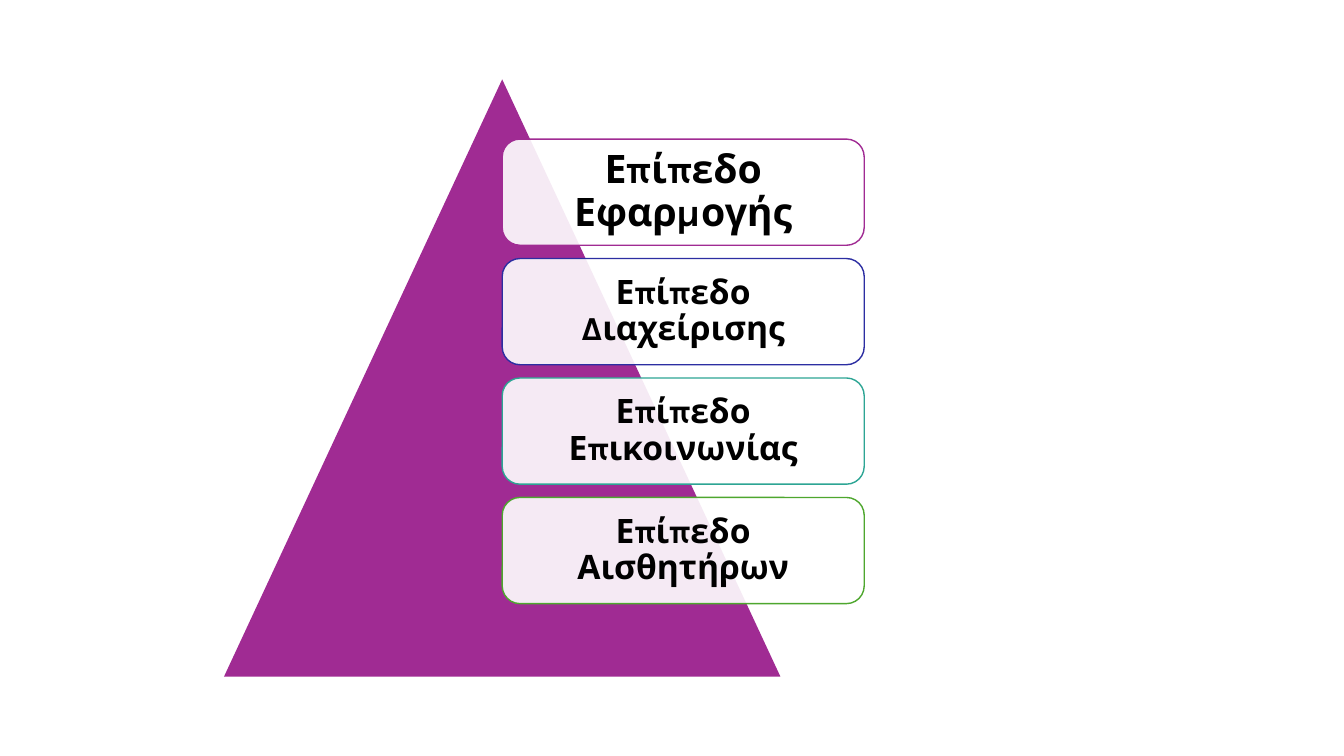
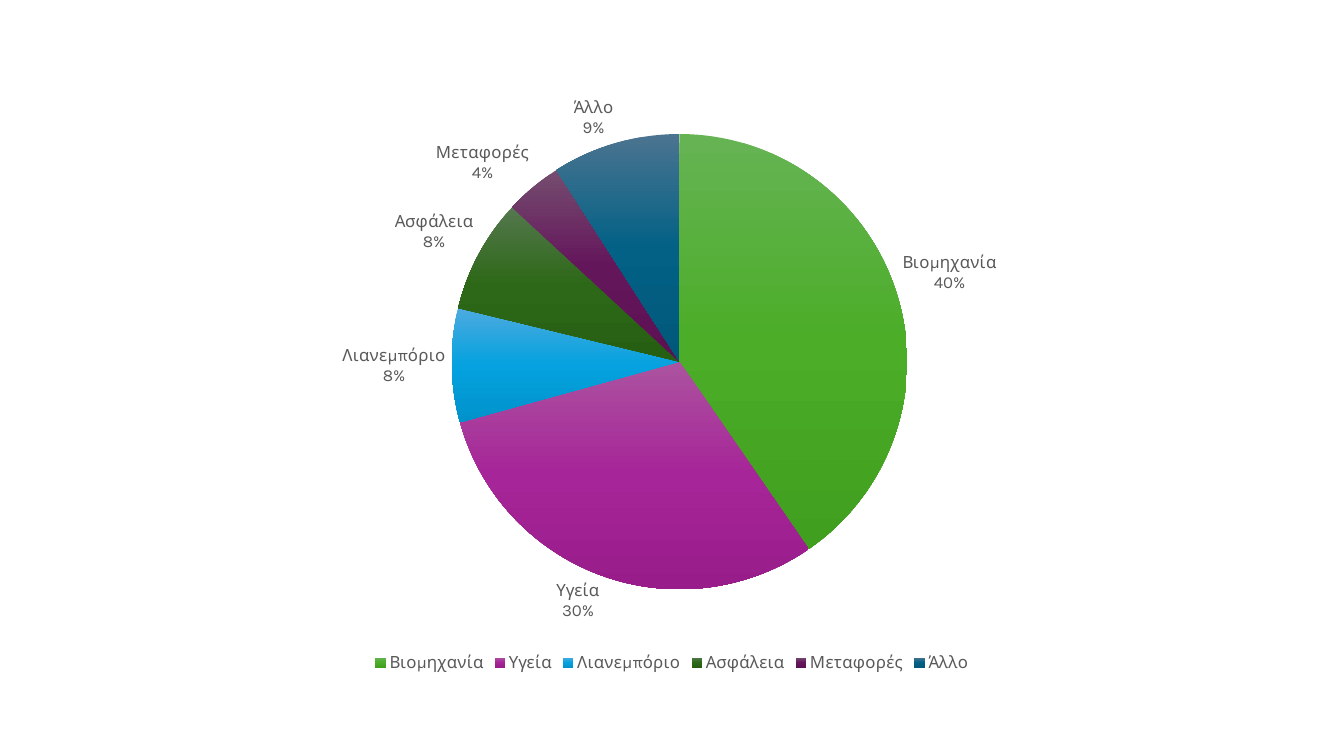
import copy
from dataclasses import dataclass

import lxml.etree
import pptx
import pptx.chart.data
import pptx.dml.color
import pptx.enum.chart
import pptx.enum.shapes
import pptx.enum.text
import pptx.oxml.ns
import pptx.util


@dataclass(frozen=True)
class Theme:
    font: str = "Karla"
    text: str = "000000"
    muted: str = "595959"
    panel: str = "FFFFFF"
    accent: str = "A02B93"
    panel_opacity: int = 90
    top_size: int = 28
    level_size: int = 24
    chart_size: int = 12
    line_width: int = 1


LEVELS = [
    ("Επίπεδο Εφαρμογής", "A02B93", Theme.top_size, 0.12),
    ("Επίπεδο Διαχείρισης", "2C2EA2", Theme.level_size, 0.1),
    ("Επίπεδο Επικοινωνίας", "2DA594", Theme.level_size, 0.1),
    ("Επίπεδο Αισθητήρων", "4EA72E", Theme.level_size, 0.1),
]

SECTORS = [
    ("Βιομηχανία", 40, ("66B354", "4BAD28", "409F1E")),
    ("Υγεία", 30, ("AC53A0", "A62598", "991C8B")),
    ("Λιανεμπόριο", 8, ("4CAADF", "05A2DF", "0092CB")),
    ("Ασφάλεια", 8, ("55784E", "2D6818", "275F12")),
    ("Μεταφορές", 4, ("754D6F", "64165B", "5C1153")),
    ("Άλλο", 9, ("4B7490", "036186", "00587A")),
]


def rgb(color):
    return pptx.dml.color.RGBColor.from_string(color)


class Deck:
    COLUMNS = 100
    ROWS = 45

    def __init__(self, theme):
        self.theme = theme
        self.presentation = pptx.Presentation()
        self.presentation.slide_width = pptx.util.Inches(13.33)
        self.presentation.slide_height = pptx.util.Inches(7.5)
        self.slide = None

    def add_slide(self):
        self.slide = self.presentation.slides.add_slide(self.presentation.slide_layouts[6])

    def grid(self, column, row, columns, rows):
        slide_width = self.presentation.slide_width
        slide_height = self.presentation.slide_height
        column_width = slide_width * 2 / 3 / self.COLUMNS
        row_height = slide_height * 0.79 / self.ROWS
        return (
            int(slide_width / 6 + column * column_width),
            int(slide_height * 0.105 + row * row_height),
            int(columns * column_width),
            int(rows * row_height),
        )

    def style_font(self, font, size, color, bold=False):
        font.name = self.theme.font
        font.size = pptx.util.Pt(size)
        font.color.rgb = rgb(color)
        font.bold = bold

    def add_shape(self, kind, cells, fill):
        shape = self.slide.shapes.add_shape(kind, *self.grid(*cells))
        shape.shadow.inherit = False
        shape.fill.solid()
        shape.fill.fore_color.rgb = rgb(fill)
        return shape

    def add_triangle(self, cells):
        kind = pptx.enum.shapes.MSO_SHAPE.ISOSCELES_TRIANGLE
        self.add_shape(kind, cells, self.theme.accent).line.fill.background()

    def add_panel(self, cells, text, outline, size, inset):
        kind = pptx.enum.shapes.MSO_SHAPE.ROUNDED_RECTANGLE
        shape = self.add_shape(kind, cells, self.theme.panel)
        color = shape.element.spPr.find(pptx.oxml.ns.qn("a:solidFill"))[0]
        alpha = lxml.etree.SubElement(color, pptx.oxml.ns.qn("a:alpha"))
        alpha.set("val", str(self.theme.panel_opacity * 1000))
        shape.line.color.rgb = rgb(outline)
        shape.line.width = pptx.util.Pt(self.theme.line_width)

        frame = shape.text_frame
        frame.word_wrap = True
        frame.vertical_anchor = pptx.enum.text.MSO_ANCHOR.MIDDLE
        frame.margin_left = frame.margin_right = pptx.util.Inches(inset)
        frame.margin_top = frame.margin_bottom = pptx.util.Inches(inset)
        frame.text = text
        paragraph = frame.paragraphs[0]
        paragraph.alignment = pptx.enum.text.PP_ALIGN.CENTER
        paragraph.line_spacing = 0.9
        self.style_font(paragraph.runs[0].font, size, self.theme.text, bold=True)

    def fill_gradient(self, chart_format, colors):
        fill = chart_format.fill
        fill.gradient()
        fill.gradient_angle = 270
        stop_list = chart_format.element.find(".//" + pptx.oxml.ns.qn("a:gsLst"))
        while len(stop_list) < len(colors):
            stop_list.append(copy.deepcopy(stop_list[0]))
        for index, (stop, color) in enumerate(zip(fill.gradient_stops, colors)):
            stop.color.rgb = rgb(color)
            stop.position = index / (len(colors) - 1)

    def add_pie(self, cells, sectors):
        names, values, gradients = zip(*sectors)
        data = pptx.chart.data.CategoryChartData()
        data.categories = names
        data.add_series("Series 1", values)
        kind = pptx.enum.chart.XL_CHART_TYPE.PIE
        chart = self.slide.shapes.add_chart(kind, *self.grid(*cells), data).chart
        chart.has_title = False
        self.style_font(chart.font, self.theme.chart_size, self.theme.muted)

        chart.has_legend = True
        chart.legend.position = pptx.enum.chart.XL_LEGEND_POSITION.BOTTOM
        chart.legend.include_in_layout = False
        self.style_font(chart.legend.font, self.theme.chart_size, self.theme.muted)

        plot = chart.plots[0]
        plot.vary_by_categories = True
        for index, colors in enumerate(gradients):
            self.fill_gradient(plot.series[0].points[index].format, colors)

        labels = plot.series[0].data_labels
        labels.show_category_name = True
        labels.show_percentage = True
        labels.show_value = False
        labels.number_format = "0%"
        labels.number_format_is_linked = False
        labels.position = pptx.enum.chart.XL_LABEL_POSITION.OUTSIDE_END
        self.style_font(labels.font, self.theme.chart_size, self.theme.muted)


def main():
    deck = Deck(Theme())

    deck.add_slide()
    deck.add_triangle((0, 0, 62.1, deck.ROWS))
    for index, level in enumerate(LEVELS):
        deck.add_panel((31.05, 4.5 + 9 * index, 40.4, 8), *level)

    deck.add_slide()
    deck.add_pie((0, 0, deck.COLUMNS, deck.ROWS), SECTORS)

    deck.presentation.save("out.pptx")


if __name__ == "__main__":
    main()
